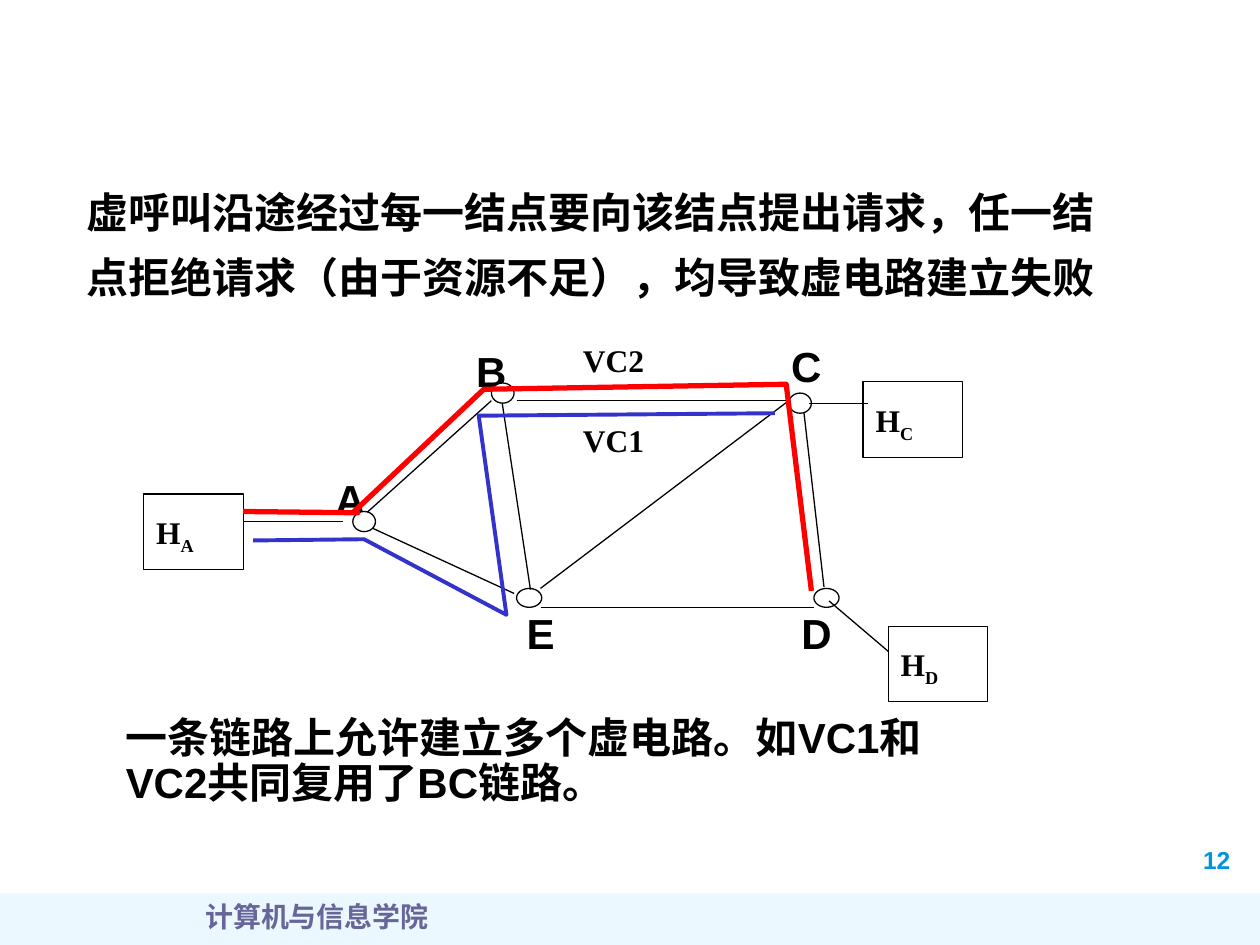
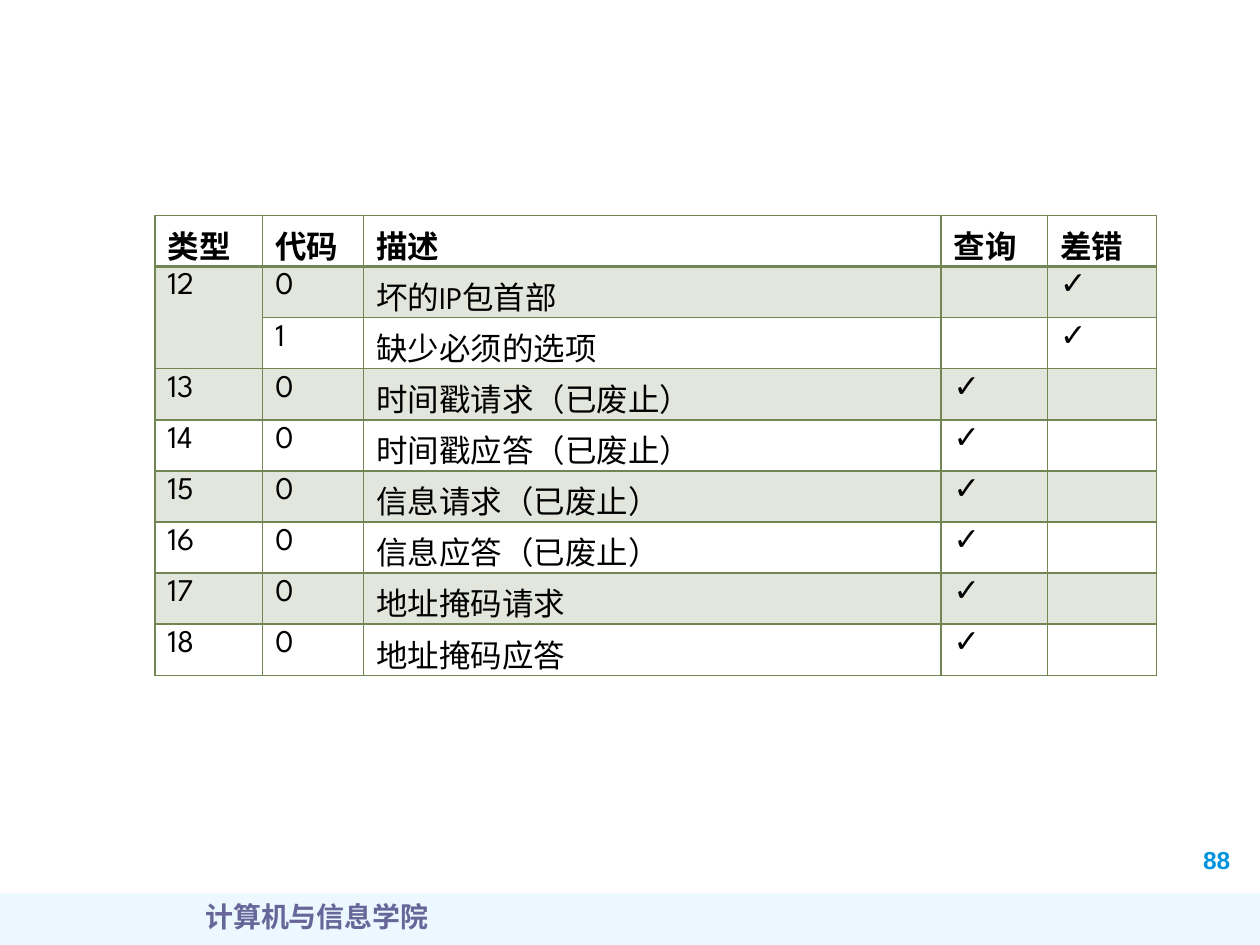
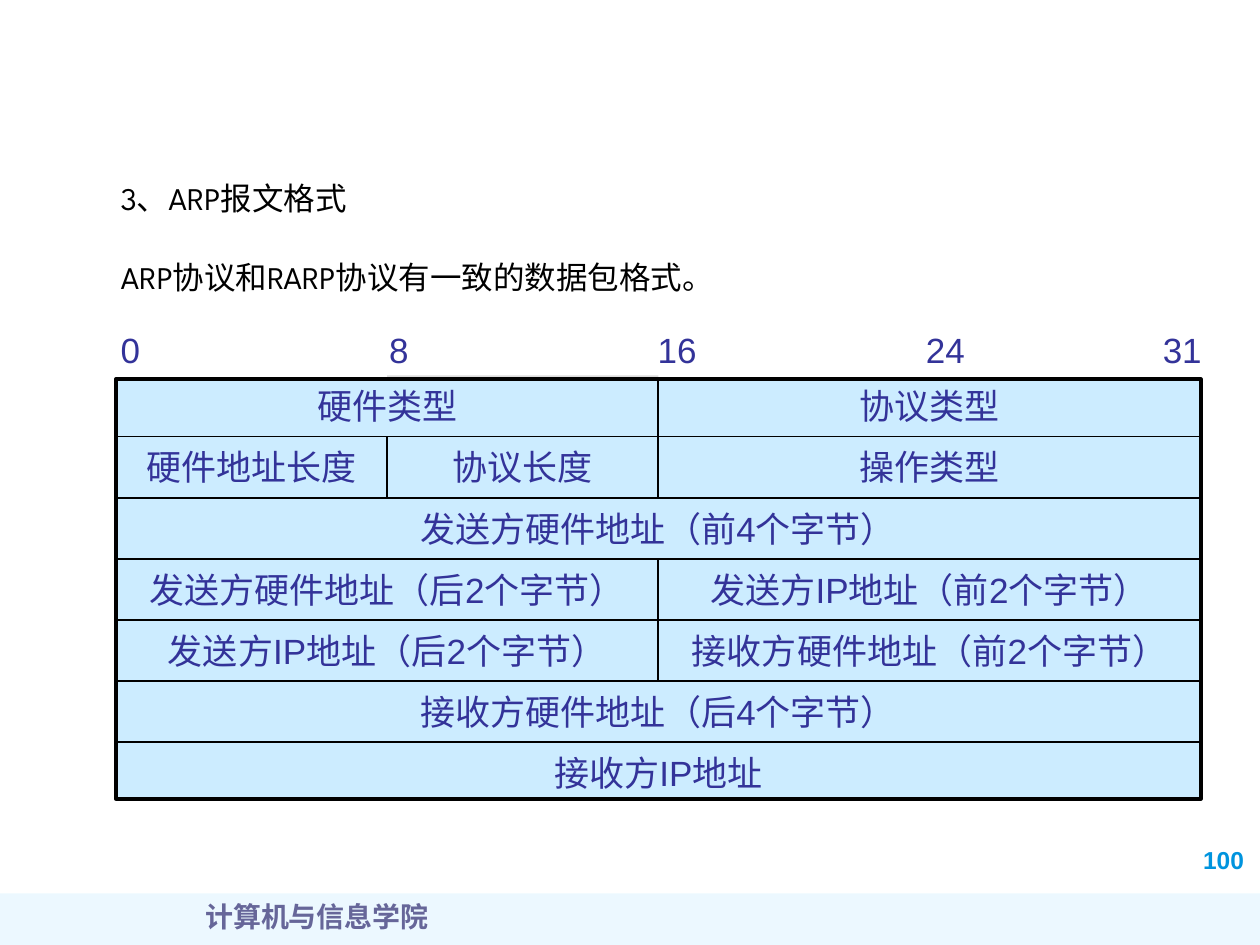
from lxml.etree import SubElement
from pptx import Presentation
from pptx.dml.color import RGBColor
from pptx.enum.shapes import MSO_CONNECTOR as Connector, MSO_SHAPE as Shape
from pptx.enum.text import PP_ALIGN as Align
from pptx.oxml.ns import qn
from pptx.util import Inches, Pt

# The slide is a grid of 100 columns and 75 rows of square cells
COLUMNS, ROWS = 100, 75
WIDTH, HEIGHT = Inches(10), Inches(7.5)
CELL = WIDTH / COLUMNS

COLORS = {
    "black": "000000", "white": "FFFFFF", "band": "A7E2FF", "number": "0094DE",
    "school": "666699", "vc1": "3333CC", "vc2": "FF0000", "table": "728653",
    "packet": "CCECFF", "shade": "DDDDDD", "field": "333399",
}
SANS, SERIF, DISPLAY = "Arial", "Times New Roman", "League Spartan"


def color(name):
    return RGBColor.from_string(COLORS[name])


def grid(*cells):
    return [round(CELL * count) for count in cells]


def set_alpha(properties, percent):
    fill_color = properties.find(qn("a:solidFill"))[0]
    SubElement(fill_color, qn("a:alpha"), val=str(percent * 1000))


def style_paragraph(paragraph, size, font=SANS, ink="black", bold=False,
                    align=Align.LEFT, spacing=None):
    paragraph.alignment = align
    if spacing:
        paragraph.line_spacing = spacing
    paragraph.font.size = Pt(size)
    paragraph.font.name = font
    paragraph.font.bold = bold
    paragraph.font.color.rgb = color(ink)


def add_text(slide, box, text, size, wrap=True, **style):
    frame = slide.shapes.add_textbox(*grid(*box)).text_frame
    frame.word_wrap = wrap
    paragraph = frame.paragraphs[0]
    paragraph.text = text
    style_paragraph(paragraph, size, **style)


def add_label(slide, center, top, text, size=24, **style):
    width, height = 7, 5
    add_text(slide, (center - width / 2, top, width, height), text, size,
             wrap=False, bold=True, align=Align.CENTER, **style)


def add_box(slide, kind, box, fill, line_width=None):
    shape = slide.shapes.add_shape(kind, *grid(*box))
    shape.shadow.inherit = False
    shape.fill.solid()
    shape.fill.fore_color.rgb = color(fill)
    if line_width:
        shape.line.color.rgb = color("black")
        shape.line.width = Pt(line_width)
    else:
        shape.line.fill.background()
    return shape


def add_line(slide, start, end, width):
    line = slide.shapes.add_connector(Connector.STRAIGHT, *grid(*start, *end))
    line.line.color.rgb = color("black")
    line.line.width = Pt(width)
    SubElement(line._element.spPr, qn("a:effectLst"))


def add_slide(presentation, number):
    """Blank slide with the footer band, school name and slide number."""
    slide = presentation.slides.add_slide(presentation.slide_layouts[6])
    band = add_box(slide, Shape.RECTANGLE, (0, 70.9, COLUMNS, 4.1), "band")
    set_alpha(band._element.spPr, 21)
    add_text(slide, (94.5, 66.6, 5.9, 3.3), str(number), 14, ink="number", bold=True)
    add_text(slide, (2.7, 70.9, 44.9, 4.1), "计算机与信息学院", 16, font=SERIF,
             ink="school", bold=True, align=Align.CENTER)
    return slide


# Virtual circuits

def add_host(slide, left, top, subscript):
    host = add_box(slide, Shape.RECTANGLE, (left, top, 7.9, 6), "white", 0.75)
    host.text_frame.vertical_anchor = 1
    paragraph = host.text_frame.paragraphs[0]
    paragraph.add_run().text = "H"
    run = paragraph.add_run()
    run.text = subscript
    run._r.get_or_add_rPr().set("baseline", "-25000")
    style_paragraph(paragraph, 18, font=SERIF, bold=True, spacing=1.3)


def add_node(slide, left, top, width, height):
    add_box(slide, Shape.OVAL, (left, top, width, height), "white", 0.75)


def add_circuit(slide, points, ink, width):
    corners = [grid(*point) for point in points]
    builder = slide.shapes.build_freeform(*corners[0], scale=1.0)
    builder.add_line_segments(corners[1:], close=False)
    circuit = builder.convert_to_shape()
    circuit.shadow.inherit = False
    circuit.fill.background()
    circuit.line.color.rgb = color(ink)
    circuit.line.width = Pt(width)


def build_circuits(presentation):
    slide = add_slide(presentation, 12)
    add_label(slide, 27.8, 35.9, "A", spacing=1.3)
    add_label(slide, 39, 25.7, "B", spacing=1.3)
    add_label(slide, 64, 26.5, "C")
    add_label(slide, 64.8, 47.7, "D")
    add_label(slide, 42.9, 47.7, "E")

    # Nodes E and D, then the links between nodes
    for left in (41, 64.6):
        add_node(slide, left, 46.7, 2, 1.5)
    links = [
        ((29.3, 41.8), (40.8, 47.1)), ((29.1, 40.7), (39, 31.8)),
        ((41, 31.8), (62.6, 31.8)), ((39.8, 31.6), (42.1, 46.8)),
        ((42.9, 46.7), (62.6, 31.8)), ((42.9, 48.2), (64.6, 48.2)),
        ((63.7, 31.8), (65.4, 46.6)),
    ]
    for start, end in links:
        add_line(slide, start, end, 0.75)

    # Nodes A, B and C, then the hosts with their links
    for left, top in ((28, 40.6), (39, 30.4), (62.6, 31.2)):
        add_node(slide, left, top, 1.8, 1.6)
    hosts = [
        ("A", 11.4, 39.2, (19.3, 41.4), (27.2, 41.4)),
        ("C", 68.5, 30.3, (64.2, 32), (68.9, 32)),
        ("D", 70.5, 49.7, (65.8, 47.7), (70.5, 51.7)),
    ]
    for name, left, top, start, end in hosts:
        add_host(slide, left, top, name)
        add_line(slide, start, end, 0.75)

    # The two circuits
    add_circuit(slide, [(20.1, 42.9), (28.9, 42.8), (40.2, 48.8), (38, 33),
                        (61.5, 32.8)], "vc1", 2.25)
    add_circuit(slide, [(19.3, 40.6), (28.4, 40.7), (28, 40.7), (38.4, 30.9),
                        (62.4, 30.5), (64.4, 46.9)], "vc2", 3)
    for name, top in (("VC1", 32), ("VC2", 25.7)):
        add_label(slide, 48.7, top, name, 18, font=SERIF, spacing=1.3)

    add_text(slide, (9, 56.4, 67.3, 8.2),
             "一条链路上允许建立多个虚电路。如VC1和VC2共同复用了BC链路。",
             24, bold=True, spacing=0.9)
    add_text(slide, (5.9, 13.1, 82.7, 11.4),
             "虚呼叫沿途经过每一结点要向该结点提出请求，任一结点拒绝请求"
             "（由于资源不足），均导致虚电路建立失败",
             24, bold=True, spacing=1.3)


# Message types

def set_borders(cell, widths):
    properties = cell._tc.get_or_add_tcPr()
    for side, width in widths.items():
        border = SubElement(properties, qn(f"a:ln{side}"), w=str(Pt(width)))
        fill = SubElement(border, qn("a:solidFill"))
        SubElement(fill, qn("a:srgbClr"), val=COLORS["table"])


def build_message_types(presentation):
    slide = add_slide(presentation, 88)
    rows = [
        ("类型", "代码", "描述", "查询", "差错"),
        ("12", "0", "坏的IP包首部", "", "✓"),
        ("", "1", "缺少必须的选项", "", "✓"),
        ("13", "0", "时间戳请求（已废止）", "✓", ""),
        ("14", "0", "时间戳应答（已废止）", "✓", ""),
        ("15", "0", "信息请求（已废止）", "✓", ""),
        ("16", "0", "信息应答（已废止）", "✓", ""),
        ("17", "0", "地址掩码请求", "✓", ""),
        ("18", "0", "地址掩码应答", "✓", ""),
    ]
    widths = grid(8.55, 8, 45.85, 8.45, 8.65)
    frame = slide.shapes.add_table(len(rows), len(widths), *grid(12.3, 17.1, 79.5, 36.5))
    table = frame.table
    table.first_row = table.horz_banding = False
    for column, width in zip(table.columns, widths):
        column.width = width
    for row_index, texts in enumerate(rows):
        for column_index, text in enumerate(texts):
            cell = table.cell(row_index, column_index)
            cell.text = text
            style_paragraph(cell.text_frame.paragraphs[0], 18, font=DISPLAY,
                            bold=row_index == 0)
            set_borders(cell, {"L": 1, "R": 1, "T": 2 if row_index == 1 else 1,
                               "B": 2 if row_index == 0 else 1})
            if row_index % 2:
                cell.fill.solid()
                cell.fill.fore_color.rgb = color("table")
                set_alpha(cell._tc.tcPr, 20)
            else:
                cell.fill.background()
    table.cell(1, 0).merge(table.cell(2, 0))


# Packet format

def build_packet_format(presentation):
    slide = add_slide(presentation, 100)
    add_text(slide, (8.6, 13.7, 21.1, 4), "3、ARP报文格式", 18, font=DISPLAY)
    add_text(slide, (8.6, 20, 51.9, 4), "ARP协议和RARP协议有一致的数据包格式。",
             18, font=DISPLAY)

    # Each packet row holds four bytes
    left, top, width, height = 9.2, 30.1, 86.1, 33.3
    byte, row_height = width / 4, 4.85

    def byte_x(index):
        return left + byte * index

    def row_y(index):
        return 29.8 + row_height * index

    add_box(slide, Shape.RECTANGLE, (byte_x(1), row_y(0), byte, row_height), "shade")
    add_box(slide, Shape.RECTANGLE, (left, top, width, height), "packet", 2.25)
    for row in range(1, 7):
        add_line(slide, (left, row_y(row)), (left + width, row_y(row)), 1)
    for index, first, last in ((2, 0, 2), (2, 3, 5), (1, 1, 2)):
        add_line(slide, (byte_x(index), max(row_y(first), top)),
                 (byte_x(index), row_y(last)), 1)

    # Bit numbers
    for index, bit in enumerate(("0", "8", "16", "24")):
        add_text(slide, (8.6 + 21.3 * index, 25.6, 5.1, 4.3), bit, 20,
                 wrap=False, ink="field")
    add_text(slide, (91.3, 25.6, 5.1, 4.3), "31", 20, wrap=False, ink="field")

    # Fields: row, first byte, number of bytes, name
    fields = [
        (0, 0, 2, "硬件类型"), (0, 2, 2, "协议类型"),
        (1, 0, 1, "硬件地址长度"), (1, 1, 1, "协议长度"), (1, 2, 2, "操作类型"),
        (2, 0, 4, "发送方硬件地址（前4个字节）"),
        (3, 0, 2, "发送方硬件地址（后2个字节）"),
        (3, 2, 2, "发送方IP地址（前2个字节）"),
        (4, 0, 2, "发送方IP地址（后2个字节）"),
        (4, 2, 2, "接收方硬件地址（前2个字节）"),
        (5, 0, 4, "接收方硬件地址（后4个字节）"),
        (6, 0, 4, "接收方IP地址"),
    ]
    for row, first, count, name in fields:
        add_text(slide, (byte_x(first), row_y(row) + 0.25, byte * count, 4.3), name,
                 20, ink="field", align=Align.CENTER)


def main():
    presentation = Presentation()
    presentation.slide_width, presentation.slide_height = WIDTH, HEIGHT
    build_circuits(presentation)
    build_message_types(presentation)
    build_packet_format(presentation)
    presentation.save("out.pptx")


if __name__ == "__main__":
    main()
